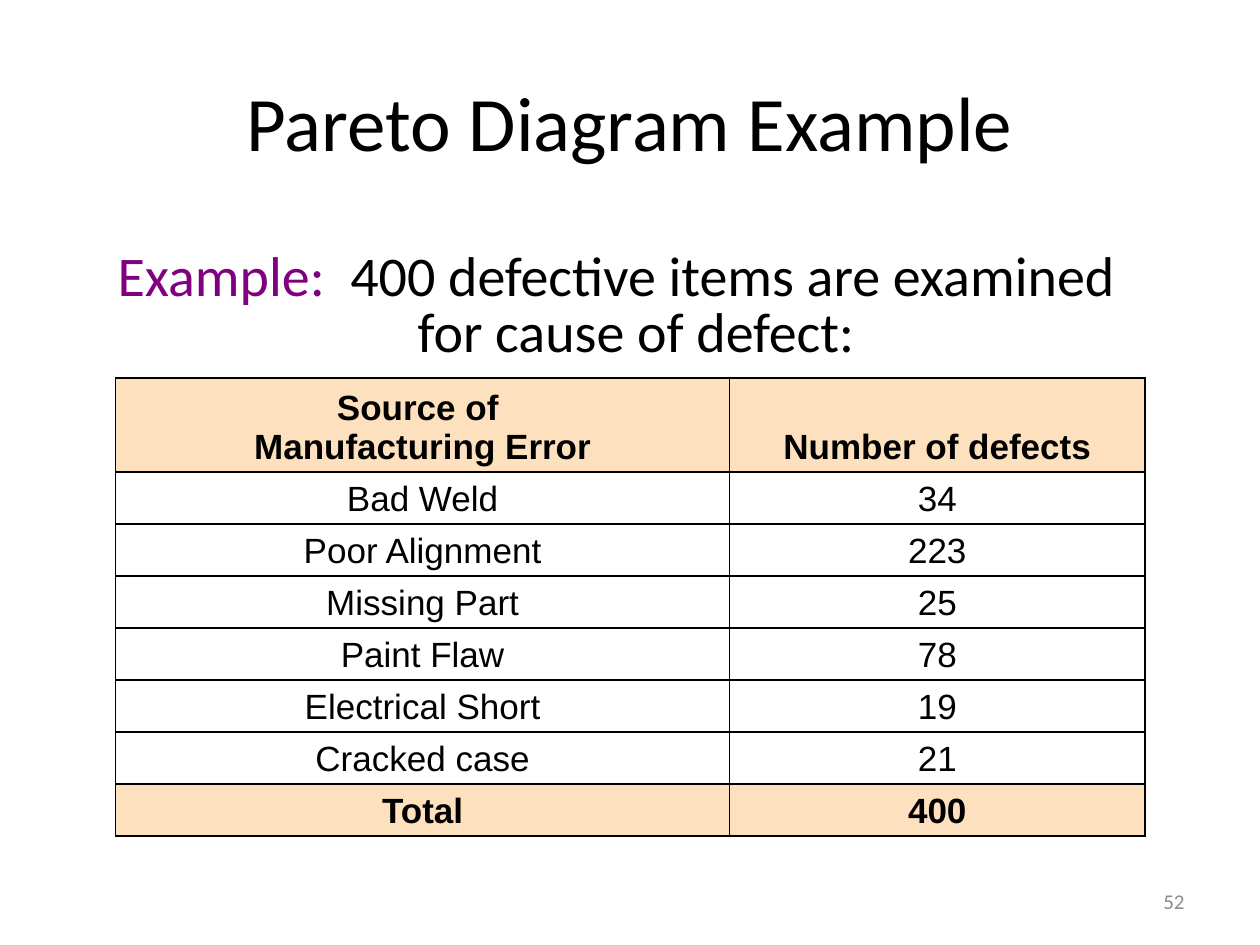
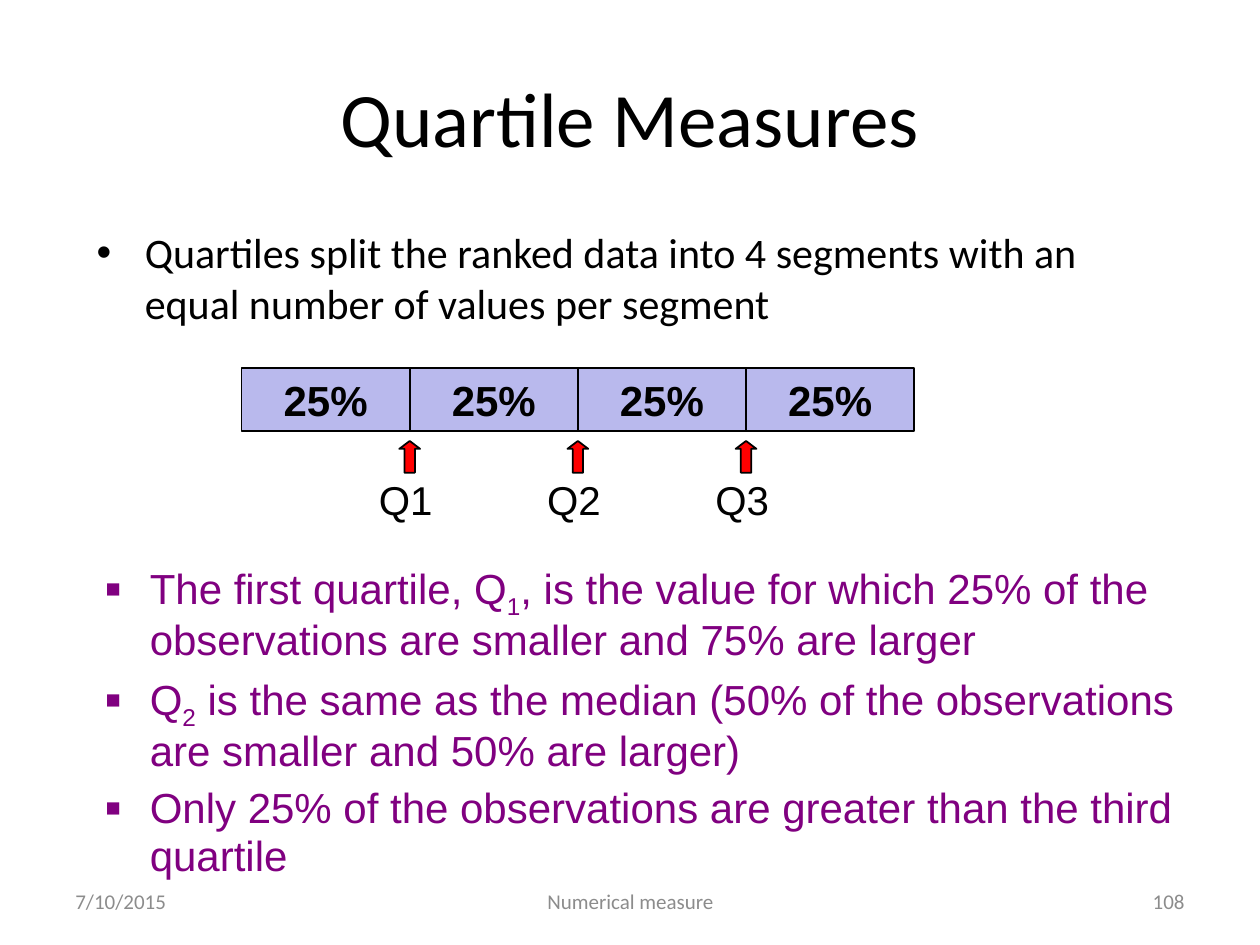
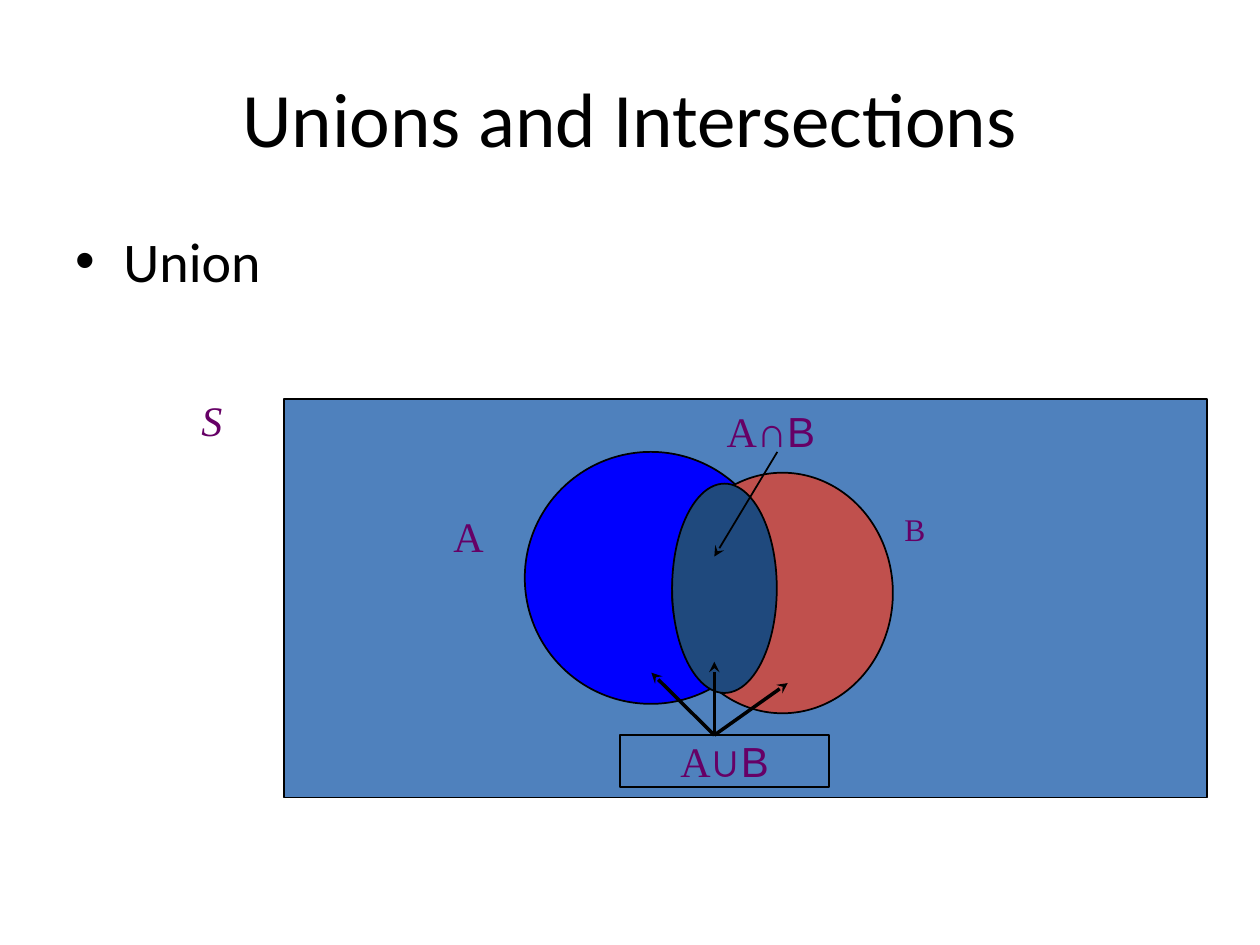
from dataclasses import dataclass
from typing import NamedTuple

from lxml.etree import SubElement
from pptx import Presentation
from pptx.dml.color import RGBColor
from pptx.enum.shapes import MSO_CONNECTOR, MSO_SHAPE
from pptx.enum.text import MSO_ANCHOR, PP_ALIGN
from pptx.oxml.ns import qn
from pptx.util import Cm, Pt

BLACK = "000000"
WHITE = "FFFFFF"
PURPLE = "800080"
PLUM = "660066"
GREY = "8C8C8C"
PEACH = "FDE0BD"
LAVENDER = "B9B9ED"
RED = "FF0000"
STEEL = "4F81BD"
BODY_FONT = "Calibri"
LABEL_FONT = "Arial"
SET_FONT = "Times New Roman"


class Area(NamedTuple):
    """Left, top, width and height in centimetres."""
    left: float
    top: float
    width: float
    height: float

    def lengths(self):
        return [Cm(value) for value in self]


class Span(NamedTuple):
    text: str
    size: float
    font: str = BODY_FONT
    color: str = BLACK
    bold: bool = False
    italic: bool = False
    subscript: bool = False


@dataclass
class Para:
    """A paragraph; indent and hang are in centimetres, before in points."""
    spans: list[Span]
    align: PP_ALIGN = PP_ALIGN.LEFT
    line: float = 1.0
    before: float = 0
    indent: float = 0
    hang: float = 0
    bullet: str = ""
    bullet_percent: int = 100


class Ellipse(NamedTuple):
    area: Area
    fill: str


class Arrow(NamedTuple):
    start: tuple[float, float]
    end: tuple[float, float]
    weight: float


TITLE_AREA = Area(1.27, 0.76, 22.86, 3.18)
DATE_AREA = Area(1.27, 17.65, 5.92, 1.02)
FOOTER_AREA = Area(8.69, 17.65, 8.04, 1.02)
NUMBER_AREA = Area(18.21, 17.65, 5.92, 1.02)


def rgb(color: str) -> RGBColor:
    return RGBColor.from_string(color)


def write_paragraph(paragraph, para: Para) -> None:
    paragraph.alignment = para.align
    paragraph.line_spacing = para.line
    paragraph.space_before = Pt(para.before)
    properties = paragraph._p.get_or_add_pPr()
    properties.set("marL", str(Cm(para.indent)))
    properties.set("indent", str(-Cm(para.hang)))
    if para.bullet:
        tint = SubElement(properties, qn("a:buClr"))
        SubElement(tint, qn("a:srgbClr"), val=para.spans[0].color)
        SubElement(properties, qn("a:buSzPct"), val=str(para.bullet_percent * 1000))
        SubElement(properties, qn("a:buFont"), typeface=LABEL_FONT)
        SubElement(properties, qn("a:buChar"), char=para.bullet)
    for span in para.spans:
        run = paragraph.add_run()
        run.text = span.text
        run.font.name = span.font
        run.font.size = Pt(span.size)
        run.font.bold = span.bold
        run.font.italic = span.italic
        run.font.color.rgb = rgb(span.color)
        if span.subscript:
            run._r.get_or_add_rPr().set("baseline", "-25000")


def write_frame(frame, paras: list[Para], anchor: MSO_ANCHOR) -> None:
    frame.vertical_anchor = anchor
    for index, para in enumerate(paras):
        paragraph = frame.add_paragraph() if index else frame.paragraphs[0]
        write_paragraph(paragraph, para)


def add_text(page, area: Area, *paras: Para, anchor: MSO_ANCHOR = MSO_ANCHOR.TOP) -> None:
    frame = page.shapes.add_textbox(*area.lengths()).text_frame
    frame.word_wrap = True
    write_frame(frame, list(paras), anchor)


def add_figure(page, kind: MSO_SHAPE, area: Area, fill: str, *paras: Para):
    figure = page.shapes.add_shape(kind, *area.lengths())
    figure.shadow.inherit = False
    figure.fill.solid()
    figure.fill.fore_color.rgb = rgb(fill)
    figure.line.color.rgb = rgb(BLACK)
    figure.line.width = Pt(1)
    write_frame(figure.text_frame, list(paras), MSO_ANCHOR.MIDDLE)
    return figure


def add_arrow(page, arrow: Arrow) -> None:
    ends = [Cm(value) for value in (*arrow.start, *arrow.end)]
    connector = page.shapes.add_connector(MSO_CONNECTOR.STRAIGHT, *ends)
    connector.line.color.rgb = rgb(BLACK)
    connector.line.width = Pt(arrow.weight)
    SubElement(connector.line._get_or_add_ln(), qn("a:tailEnd"), type="stealth")
    SubElement(connector._element.spPr, qn("a:effectLst"))


def add_title(page, title: str, line: float = 1.0) -> None:
    add_text(page, TITLE_AREA, Para([Span(title, 44)], PP_ALIGN.CENTER, line),
             anchor=MSO_ANCHOR.MIDDLE)


def add_footer(page, area: Area, text: str, align: PP_ALIGN) -> None:
    add_text(page, area, Para([Span(text, 12, color=GREY)], align), anchor=MSO_ANCHOR.MIDDLE)


def add_page(deck, title: str, title_line: float = 1.0):
    page = deck.slides.add_slide(deck.slide_layouts[6])
    add_title(page, title, title_line)
    return page


def style_cell(cell, text: str, strong: bool) -> None:
    cell.margin_top = cell.margin_bottom = Cm(0.1)
    paras = [Para([Span(line, 20, LABEL_FONT, bold=strong)], PP_ALIGN.CENTER)
             for line in text.split("\n")]
    write_frame(cell.text_frame, paras, MSO_ANCHOR.BOTTOM)
    cell.vertical_anchor = MSO_ANCHOR.BOTTOM
    properties = cell._tc.get_or_add_tcPr()
    for side in ("lnL", "lnR", "lnT", "lnB"):
        border = SubElement(properties, qn(f"a:{side}"), w=str(Pt(1)))
        paint = SubElement(border, qn("a:solidFill"))
        SubElement(paint, qn("a:srgbClr"), val=BLACK)
    cell.fill.solid()
    cell.fill.fore_color.rgb = rgb(PEACH if strong else WHITE)


def add_defect_table(page) -> None:
    defects = {"Bad Weld": 34, "Poor Alignment": 223, "Missing Part": 25,
               "Paint Flaw": 78, "Electrical Short": 19, "Cracked case": 21}
    rows = [("Source of \nManufacturing Error", "Number of defects"),
            *((source, str(count)) for source, count in defects.items()),
            ("Total", str(sum(defects.values())))]
    area = Area(2.33, 7.62, 20.75, 9.1)
    table = page.shapes.add_table(len(rows), 2, *area.lengths()).table
    table.horz_banding = False
    for column, width in zip(table.columns, (12.38, 8.37)):
        column.width = Cm(width)
    for index, row in enumerate(rows):
        table.rows[index].height = Cm(1.04 if index else 1.82)
        for column, text in enumerate(row):
            style_cell(table.cell(index, column), text, index in (0, len(rows) - 1))


def build_pareto(deck) -> None:
    page = add_page(deck, "Pareto Diagram Example", 1.1)
    add_text(
        page, Area(2.12, 4.45, 22.42, 3.1),
        Para([Span("Example:", 32, color=PURPLE),
              Span("  400 defective items are examined", 32)],
             line=1.2, indent=0.97, hang=0.97),
        Para([Span("for cause of defect:", 32)], line=0.6, before=7, indent=6.05))
    add_defect_table(page)
    add_footer(page, NUMBER_AREA, "52", PP_ALIGN.RIGHT)


def add_quartile_bar(page) -> None:
    left, top, width, height = 4.87, 7.42, 3.39, 1.27
    share = Para([Span("25%", 24, LABEL_FONT, bold=True)], PP_ALIGN.CENTER)
    for index in range(4):
        segment = Area(left + index * width, top, width, height)
        add_figure(page, MSO_SHAPE.RECTANGLE, segment, LAVENDER, share)
    for quartile in range(1, 4):
        boundary = left + quartile * width
        pointer = add_figure(page, MSO_SHAPE.UP_ARROW,
                             Area(boundary - 0.21, 8.89, 0.42, 0.64), RED)
        pointer.adjustments[1] = 0.38
        add_text(page, Area(boundary - 0.87, 9.53, 1.7, 1.27),
                 Para([Span(f"Q{quartile}", 23, LABEL_FONT)], line=0.95))


def build_quartiles(deck) -> None:
    page = add_page(deck, "Quartile Measures")
    add_text(page, Area(1.7, 4.45, 20.75, 2.64), Para(
        [Span("Quartiles split the ranked data into 4 segments with an "
              "equal number of values per segment", 24)],
        indent=0.97, hang=0.97, bullet="•"))
    add_quartile_bar(page)

    def purple(text: str, subscript: bool = False) -> Span:
        return Span(text, 24, LABEL_FONT, PURPLE, subscript=subscript)

    facts = [
        [purple("The first quartile, Q"), purple("1", True),
         purple(", is the value for which 25% of the observations are smaller "
                "and 75% are larger")],
        [purple("Q"), purple("2", True),
         purple(" is the same as the median (50% of the observations are smaller "
                "and 50% are larger)")],
        [purple("Only 25% of the observations are greater than the third quartile")],
    ]
    add_text(page, Area(1.88, 11.22, 22.25, 6.15), *(
        Para(spans, line=0.95, before=5 if index else 0, indent=0.89, hang=0.89,
             bullet="■", bullet_percent=60)
        for index, spans in enumerate(facts)))
    add_footer(page, DATE_AREA, "7/10/2015", PP_ALIGN.LEFT)
    add_footer(page, FOOTER_AREA, "Numerical measure", PP_ALIGN.CENTER)
    add_footer(page, NUMBER_AREA, "108", PP_ALIGN.RIGHT)


def build_union(deck) -> None:
    page = add_page(deck, "Unions and Intersections")
    add_text(page, Area(1.27, 4.45, 22.86, 1.6),
             Para([Span("Union", 32)], indent=0.97, hang=0.97, bullet="•"))

    def symbol(text: str, size: float = 24, font: str = SET_FONT, italic: bool = False) -> Span:
        return Span(text, size, font, PLUM, italic=italic)

    add_figure(page, MSO_SHAPE.RECTANGLE, Area(5.72, 8.04, 18.62, 8.04), STEEL)
    for ellipse in (Ellipse(Area(10.58, 9.11, 5.08, 5.08), "0000FF"),
                    Ellipse(Area(13.55, 9.53, 4.45, 4.85), "C0504D"),
                    Ellipse(Area(13.55, 9.75, 2.11, 4.22), "1F497D")):
        add_figure(page, MSO_SHAPE.OVAL, *ellipse)
    labels = [
        (Area(3.81, 7.82, 1.27, 1.27), [symbol("S", italic=True)]),
        (Area(8.89, 10.16, 1.7, 1.27), [symbol("A")]),
        (Area(17.98, 10.16, 1.7, 1.02), [symbol("B", 18)]),
        (Area(14.4, 8.04, 3.38, 1.27), [symbol("A"), symbol("∩Β", font=LABEL_FONT)]),
    ]
    for area, spans in labels:
        add_text(page, area, Para(spans))
    add_figure(page, MSO_SHAPE.RECTANGLE, Area(12.5, 14.82, 4.22, 1.05), STEEL,
               Para([symbol("A"), symbol("∪Β", font=LABEL_FONT)], PP_ALIGN.CENTER))
    add_arrow(page, Arrow((15.67, 9.11), (14.4, 11.22), 1))
    for target in ((13.13, 13.56), (14.4, 13.34), (15.88, 13.77)):
        add_arrow(page, Arrow((14.4, 14.82), target, 2))


def main() -> None:
    deck = Presentation()
    deck.slide_width = Cm(25.4)
    deck.slide_height = Cm(19.05)
    build_pareto(deck)
    build_quartiles(deck)
    build_union(deck)
    deck.save("out.pptx")


if __name__ == "__main__":
    main()
